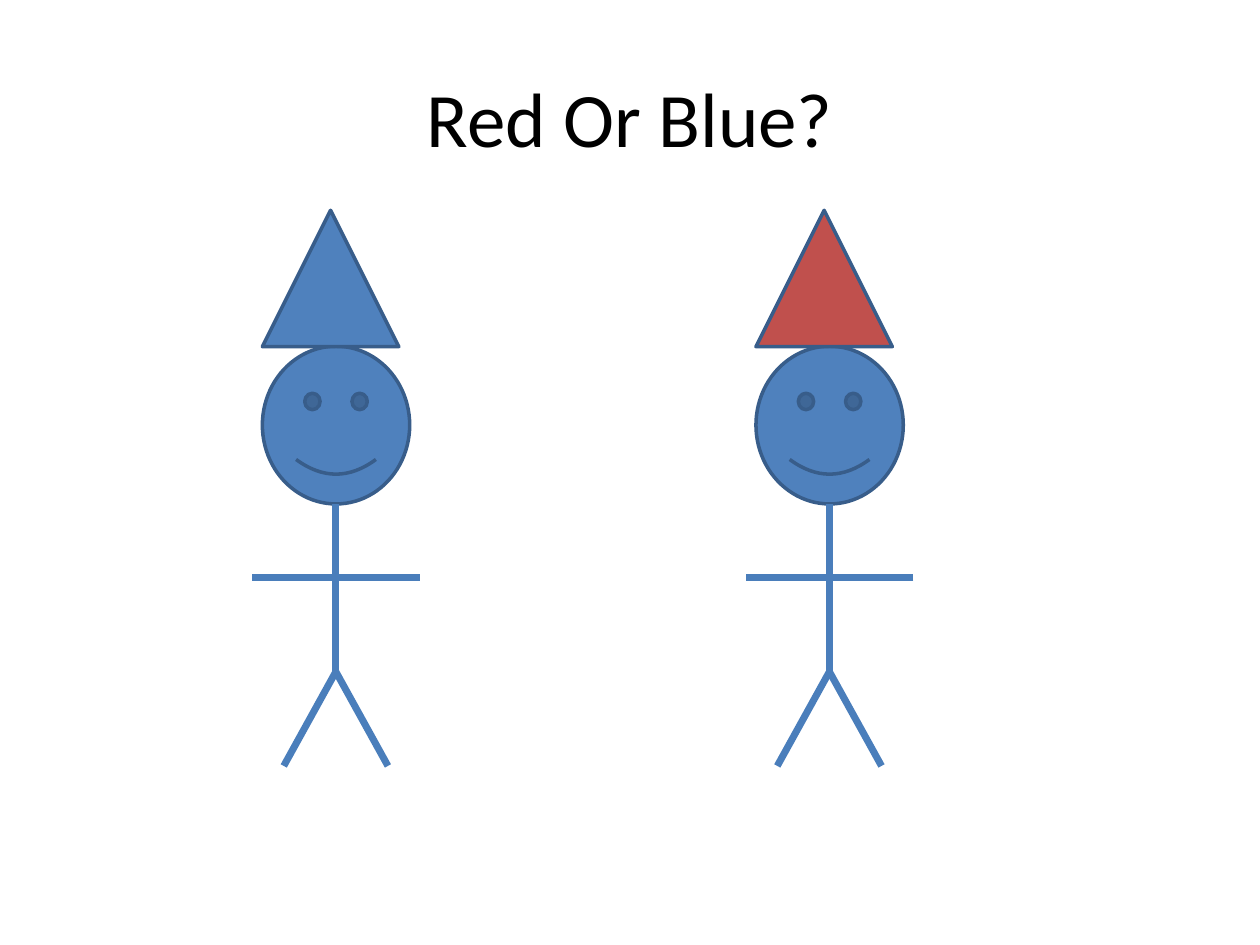
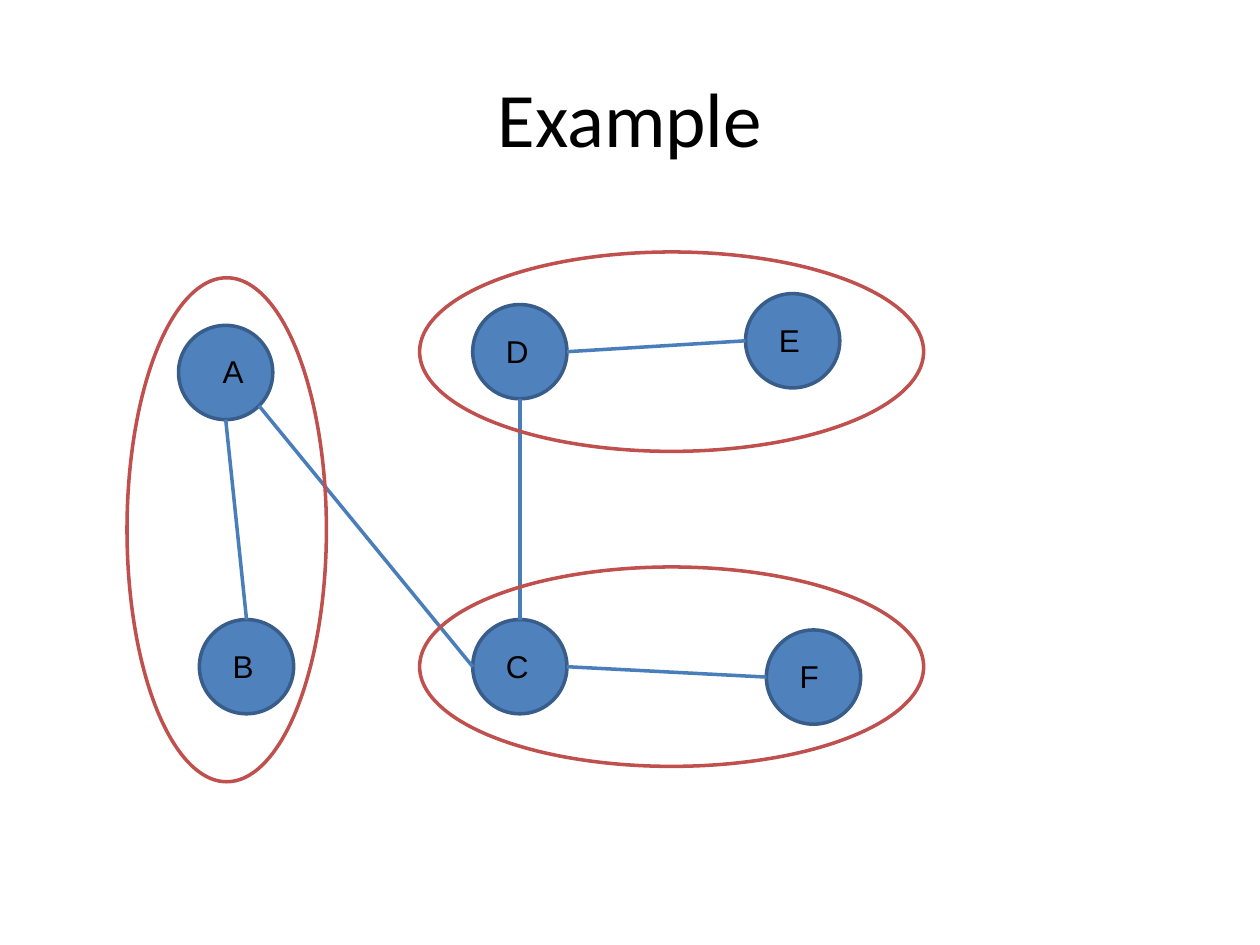
from math import sqrt

from lxml import etree
from pptx import Presentation
from pptx.dml.color import RGBColor
from pptx.enum.shapes import MSO_CONNECTOR, MSO_SHAPE
from pptx.enum.text import MSO_ANCHOR, MSO_AUTO_SIZE, PP_ALIGN
from pptx.oxml.ns import qn
from pptx.util import Cm, Pt

LINE = MSO_CONNECTOR.STRAIGHT
OVAL = MSO_SHAPE.OVAL
SMILE = MSO_SHAPE.SMILEY_FACE
HAT = MSO_SHAPE.ISOSCELES_TRIANGLE
MIDDLE = MSO_ANCHOR.MIDDLE
CENTER = PP_ALIGN.CENTER
GROW = MSO_AUTO_SIZE.SHAPE_TO_FIT_TEXT

BLUE, RED, BLACK = "4F81BD", "C0504D", "000000"
EDGE, STROKE = "385D8A", "4A7EBB"

NODE = 1.9  # node diameter in cm
NODES = {
    "A": (1.04, 1.48),
    "B": (1.46, 7.41),
    "C": (6.97, 7.41),
    "D": (6.97, 1.06),
    "E": (12.47, 0.84),
    "F": (12.89, 7.62),
}
# Unit directions from a node's centre to its rim
UP, DOWN, LEFT, RIGHT = (0, -1), (0, 1), (-1, 0), (1, 0)
SLANT = (1 / sqrt(2), 1 / sqrt(2))
LINKS = [
    ("A", DOWN, "B", UP),
    ("D", DOWN, "C", UP),
    ("E", LEFT, "D", RIGHT),
    ("C", RIGHT, "F", LEFT),
    ("A", SLANT, "C", LEFT),
]
RINGS = [(5.9, 0, 0), (5.9, 6.35, 0), (-3.07, 3.59, 90)]


def paint(color, code):
    color.rgb = RGBColor.from_string(code)


def add_form(shapes, kind, box, fill, edge=EDGE):
    form = shapes.add_shape(kind, *map(Cm, box))
    form.shadow.inherit = False
    if fill:
        form.fill.solid()
        paint(form.fill.fore_color, fill)
    else:
        form.fill.background()
    paint(form.line.color, edge)
    form.line.width = Pt(2)
    return form


def add_line(shapes, start, end, width):
    line = shapes.add_connector(LINE, *map(Cm, (*start, *end)))
    paint(line.line.color, STROKE)
    line.line.width = Pt(width)
    etree.SubElement(line._element.spPr, qn("a:effectLst"))


def add_run(para, text, font, size):
    run = para.add_run()
    run.text = text
    run.font.name = font
    run.font.size = Pt(size)
    paint(run.font.color, BLACK)


def add_slide(deck, text):
    slide = deck.slides.add_slide(deck.slide_layouts[5])
    title = slide.shapes.title
    title.left, title.top = Cm(1.27), Cm(0.76)
    title.width, title.height = Cm(22.86), Cm(3.17)
    frame = title.text_frame
    frame.vertical_anchor = MIDDLE
    para = frame.paragraphs[0]
    para.alignment = CENTER
    add_run(para, text, "Calibri", 44)
    return slide


def add_label(slide, text, x, y):
    box = slide.shapes.add_textbox(Cm(x), Cm(y), Cm(1.06), Cm(1.02))
    frame = box.text_frame
    frame.word_wrap = True
    frame.auto_size = GROW
    add_run(frame.paragraphs[0], text, "Arial", 18)


def draw_man(slide, x, y, hat):
    """Draw a stick man whose arms start at x and whose hat tip is at y."""
    body = slide.shapes.add_group_shape().shapes
    face = add_form(body, SMILE, (x + 0.21, y + 2.74, 2.97, 3.18), BLUE)
    face.adjustments[0] = 0.093
    mid, arm = x + 1.69, y + 7.4
    hip = (mid, y + 9.3)
    add_line(body, (mid, y + 5.92), hip, 4)
    for side in (-1, 1):
        add_line(body, hip, (mid + side * 1.05, y + 11.2), 4)
    add_line(body, (x + 3.38, arm), (x, arm), 4)
    add_form(slide.shapes, HAT, (x + 0.21, y, 2.75, 2.75), hat)


def draw_graph(slide, x, y):
    def rim(name, way):
        left, top = NODES[name]
        half = NODE / 2
        return x + left + half + half * way[0], y + top + half + half * way[1]

    for left, top in NODES.values():
        add_form(slide.shapes, OVAL, (x + left, y + top, NODE, NODE), BLUE)
    for start, out, end, into in LINKS:
        add_line(slide.shapes, rim(start, out), rim(end, into), 2)
    for name, (left, top) in NODES.items():
        shift = 0.64 if name == "A" else 0.42
        add_label(slide, name, x + left + shift, y + top + 0.42)
    for left, top, turn in RINGS:
        box = (x + left, y + top, 10.16, 4.02)
        ring = add_form(slide.shapes, OVAL, box, None, RED)
        ring.rotation = turn


def main():
    deck = Presentation()
    deck.slide_width, deck.slide_height = Cm(25.4), Cm(19.05)
    slide = add_slide(deck, "Red Or Blue?")
    for x, hat in ((5.08, BLUE), (15.03, RED)):
        draw_man(slide, x, 4.24, hat)
    draw_graph(add_slide(deck, "Example"), 2.56, 5.08)
    deck.save("out.pptx")


if __name__ == "__main__":
    main()
